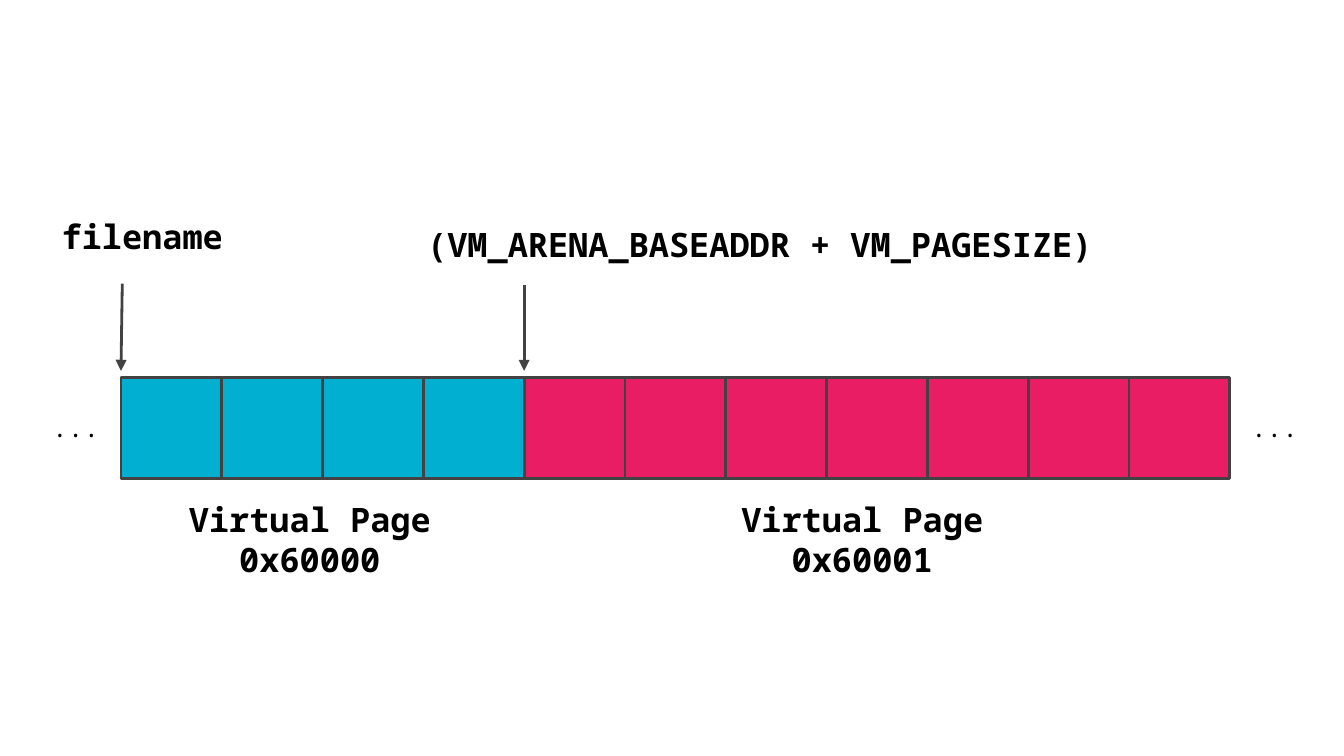
from lxml.etree import SubElement
from pptx import Presentation
from pptx.dml.color import RGBColor
from pptx.enum.shapes import MSO_CONNECTOR as Connector, MSO_SHAPE as Shape
from pptx.enum.text import MSO_AUTO_SIZE as AutoSize, PP_ALIGN as Align
from pptx.oxml.ns import qn
from pptx.util import Inches, Pt

# Content
PAGES = [("01AFD1", 4), ("E91D63", 7)]  # fill, number of cells
LABELS = [  # text, (left, top, width, height), format
    ("...", (0.29, 2.96, 0.59, 0.44), dict(size="small", bold=False)),
    ("...", (9.21, 2.96, 0.59, 0.44), dict(size="small", bold=False)),
    ("filename", (0.36, 1.51, 1.52, 0.5), {}),
    ("(VM_ARENA_BASEADDR + VM_PAGESIZE)", (3.08, 1.57, 5.54, 0.5), {}),
    ("Virtual Page 0x60000", (1.01, 3.61, 2.59, 0.81), dict(align=Align.CENTER)),
    ("Virtual Page 0x60001", (5.12, 3.61, 2.59, 0.81), dict(align=Align.CENTER)),
]
POINTERS = [((0.91, 2.11), 0), ((3.9, 2.12), 4)]  # start, cell pointed at

THEME = {
    "font": "Noto Sans Mono",
    "text": RGBColor.from_string("000000"),
    "line": RGBColor.from_string("424242"),
    "stroke": Pt(1.5),
    "small": Pt(14),
    "label": Pt(18),
}
ROW_LEFT, ROW_TOP, CELL = 0.9, 2.81, 0.75
POINTER_END = 2.76


def style_line(line):
    line.color.rgb = THEME["line"]
    line.width = THEME["stroke"]


def add_text(page, text, area, size="label", bold=True, align=Align.LEFT):
    box = page.shapes.add_textbox(*map(Inches, area))
    frame = box.text_frame
    frame.word_wrap = True
    frame.auto_size = AutoSize.SHAPE_TO_FIT_TEXT
    frame.margin_left = frame.margin_right = Inches(0.1)
    frame.margin_top = frame.margin_bottom = Inches(0.1)
    para = frame.paragraphs[0]
    para.alignment = align
    span = para.add_run()
    span.text = text
    span.font.name = THEME["font"]
    span.font.size = THEME[size]
    span.font.bold = bold
    span.font.color.rgb = THEME["text"]


def add_cell(page, index, fill):
    cell = page.shapes.add_shape(
        Shape.RECTANGLE, Inches(ROW_LEFT + index * CELL), Inches(ROW_TOP),
        Inches(CELL), Inches(CELL))
    cell.shadow.inherit = False
    cell.fill.solid()
    cell.fill.fore_color.rgb = RGBColor.from_string(fill)
    style_line(cell.line)


def add_pointer(page, start, index):
    end = (ROW_LEFT + index * CELL, POINTER_END)
    arrow = page.shapes.add_connector(
        Connector.STRAIGHT, *map(Inches, start + end))
    style_line(arrow.line)
    properties = arrow._element.spPr
    SubElement(properties.find(qn("a:ln")), qn("a:tailEnd"), type="triangle")
    SubElement(properties, qn("a:effectLst"))


def main():
    deck = Presentation()
    deck.slide_width = Inches(10)
    deck.slide_height = deck.slide_width * 9 // 16
    page = deck.slides.add_slide(deck.slide_layouts[6])

    # Memory row
    fills = [fill for fill, count in PAGES for _ in range(count)]
    for index, fill in enumerate(fills):
        add_cell(page, index, fill)

    # Pointers and labels
    for start, index in POINTERS:
        add_pointer(page, start, index)
    for text, area, style in LABELS:
        add_text(page, text, area, **style)

    deck.save("out.pptx")


if __name__ == "__main__":
    main()
